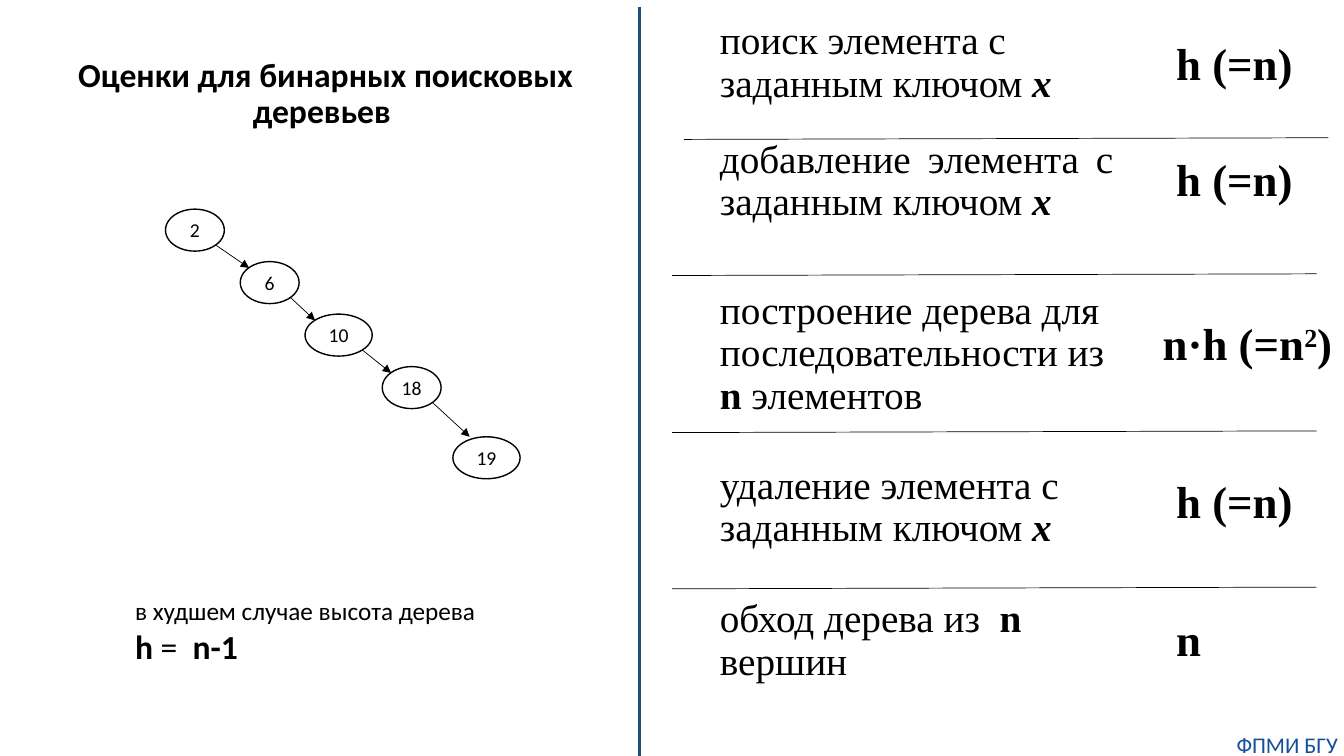
from dataclasses import dataclass
from itertools import pairwise

from lxml.etree import SubElement
from pptx import Presentation
from pptx.dml.color import RGBColor
from pptx.enum.shapes import MSO_CONNECTOR as Connector, MSO_SHAPE as Preset
from pptx.enum.text import MSO_ANCHOR as Anchor, MSO_AUTO_SIZE as AutoSize, PP_ALIGN as Align
from pptx.oxml.ns import qn
from pptx.util import Inches, Pt

COLUMNS, ROWS = 160, 90
UNIT = Inches(7.5) / ROWS


@dataclass(frozen=True)
class Theme:
    ink: RGBColor = RGBColor(0, 0, 0)
    divider: RGBColor = RGBColor(0x1F, 0x4E, 0x79)
    footer: RGBColor = RGBColor(0x14, 0x4E, 0x9D)
    sans: str = "Calibri"
    serif: str = "Times New Roman"
    title_size: int = 24
    operation_size: int = 28
    estimate_size: int = 32
    note_size: int = 18
    node_size: int = 14
    footer_size: int = 16
    hairline: float = 0.5
    outline: float = 1
    divider_line: float = 2.25


THEME = Theme()


@dataclass(frozen=True)
class Box:
    left: float
    top: float
    width: float
    height: float

    def inner(self, left, top, width, height):
        return Box(self.left + left, self.top + top, width, height)

    def emu(self):
        return [round(side * UNIT) for side in (self.left, self.top, self.width, self.height)]


def format_run(run, size, font, color=THEME.ink, style=""):
    run.font.size, run.font.name = Pt(size), font
    run.font.color.rgb = color
    run.font.bold, run.font.italic = "b" in style, "i" in style
    if "^" in style:
        run.font._element.set("baseline", "30000")


def add_text(slide, box, pieces, size, font, color=THEME.ink, align=Align.LEFT,
             anchor=Anchor.TOP, wrap=True, body=False):
    frame = slide.shapes.add_textbox(*box.emu()).text_frame
    frame.word_wrap, frame.vertical_anchor = wrap, anchor
    if not wrap:
        frame.auto_size = AutoSize.SHAPE_TO_FIT_TEXT
    paragraph = frame.paragraphs[0]
    paragraph.alignment = align
    if body:
        paragraph.line_spacing, paragraph.space_before = 0.9, Pt(10)
    add_pieces(paragraph, pieces, size, font, color)
    return frame


def add_pieces(paragraph, pieces, size, font, color=THEME.ink):
    for words, style in pieces:
        run = paragraph.add_run()
        run.text = words
        format_run(run, size, font, color, style)


def add_line(slide, start, end, color, weight, arrow=False):
    ends = [round(value * UNIT) for value in (*start, *end)]
    line = slide.shapes.add_connector(Connector.STRAIGHT, *ends)
    line.line.color.rgb, line.line.width = color, Pt(weight)
    if arrow:
        SubElement(line.line._get_or_add_ln(), qn("a:tailEnd"), type="triangle")
    SubElement(line._element.spPr, qn("a:effectLst"))


def add_node(slide, box, key):
    node = slide.shapes.add_shape(Preset.OVAL, *box.emu())
    node.shadow.inherit = False
    node.fill.background()
    node.line.color.rgb, node.line.width = THEME.ink, Pt(THEME.outline)
    frame = node.text_frame
    frame.text = key
    frame.vertical_anchor = Anchor.MIDDLE
    frame.margin_left = frame.margin_right = 0
    frame.paragraphs[0].alignment = Align.CENTER
    format_run(frame.paragraphs[0].runs[0], THEME.node_size, THEME.sans)


def draw_tree(slide, box, nodes):
    height, diagonal = 5, 0.35
    for key, x, y, width, _ in nodes:
        add_node(slide, box.inner(x - width / 2, y - height / 2, width, height), key)
    for (_, x1, y1, width1, _), (_, x2, y2, width2, entry) in pairwise(nodes):
        start = box.left + x1 + diagonal * width1, box.top + y1 + diagonal * height
        end = box.left + x2 + entry[0] * width2, box.top + y2 + entry[1] * height
        add_line(slide, start, end, THEME.ink, THEME.hairline, arrow=True)


def draw_worst_case(slide, box):
    add_text(slide, box.inner(2.2, 1.1, 73.1, 15.1),
             [("Оценки для бинарных поисковых деревьев ", "b")],
             THEME.title_size, THEME.sans, align=Align.CENTER, anchor=Anchor.BOTTOM, body=True)
    corner, upper = (-0.35, -0.35), (-0.25, -0.5)
    draw_tree(slide, box.inner(19.7, 24.9, 42.2, 32.2), [
        ("2", 3.5, 2.5, 7, corner),
        ("6", 12.4, 8.75, 7, corner),
        ("10", 20.6, 15, 8, corner),
        ("18", 29.3, 21.25, 7, corner),
        ("19", 38.2, 29.6, 8, upper),
    ])
    note = add_text(slide, box.inner(14.9, 70.3, 47.8, 9.7),
                    [("в худшем случае высота дерева", "")], THEME.note_size, THEME.sans)
    add_pieces(note.add_paragraph(), [("h ", "b"), ("=  ", ""), ("n-1", "b")],
               THEME.title_size, THEME.sans)


def draw_estimates(slide, box):
    linear = [("h (=n)", "b")]
    squared = [("n·h (=n", "b"), ("2", "b^"), (")", "b")]
    operations = [
        (1.9, 46, [("поиск элемента с заданным ключом ", ""), ("x", "bi")],
         Align.LEFT, 3.7, 58.8, 16.4, linear),
        (16, 49.2, [("добавление элемента с заданным ключом ", ""), ("х", "bi")],
         Align.JUSTIFY, 17.5, 58.8, 16.4, linear),
        (34, 50, [("построение дерева для последовательности из ", ""), ("n ", "b"),
                  ("элементов", "")],
         Align.LEFT, 37, 57.2, 23.9, squared),
        (54.8, 44.4, [("удаление элемента с заданным ключом ", ""), ("x", "bi")],
         Align.LEFT, 55.8, 58.8, 16.4, linear),
        (70.7, 42.8, [("обход дерева из  ", ""), ("n ", "b"), ("вершин", "")],
         Align.LEFT, 72.2, 58.8, 5.4, [("n", "b")]),
    ]
    for top, width, operation, align, estimate_top, left, estimate_width, estimate in operations:
        add_text(slide, box.inner(4.5, top, width, 11), operation,
                 THEME.operation_size, THEME.serif, align=align, body=True)
        add_text(slide, box.inner(left, estimate_top, estimate_width, 7.7), estimate,
                 THEME.estimate_size, THEME.serif, wrap=False)
    for indent, row in ((1.4, 16.6), (0, 32.8), (0, 51.5), (0, 70.1)):
        left, top = box.left + indent, box.top + row
        add_line(slide, (left, top), (left + 76.7, top - 0.2), THEME.ink, THEME.hairline)


def draw_frame(slide, box):
    middle = box.left + 76.1
    add_line(slide, (middle, box.top + 0.8), (middle, box.top + box.height),
             THEME.divider, THEME.divider_line)
    footer = add_text(slide, box.inner(146.4, 87, 13.6, 3.2), [("ФПМИ БГУ", "")],
                      THEME.footer_size, THEME.sans, THEME.footer, Align.CENTER)
    footer.margin_left = footer.margin_right = footer.margin_top = footer.margin_bottom = 0


deck = Presentation()
deck.slide_width, deck.slide_height = Inches(13.33), Inches(7.5)
estimates_slide = deck.slides.add_slide(deck.slide_layouts[6])
draw_worst_case(estimates_slide, Box(0, 0, 76, ROWS))
draw_estimates(estimates_slide, Box(80, 0, 80, ROWS))
draw_frame(estimates_slide, Box(0, 0, COLUMNS, ROWS))
deck.save("out.pptx")
